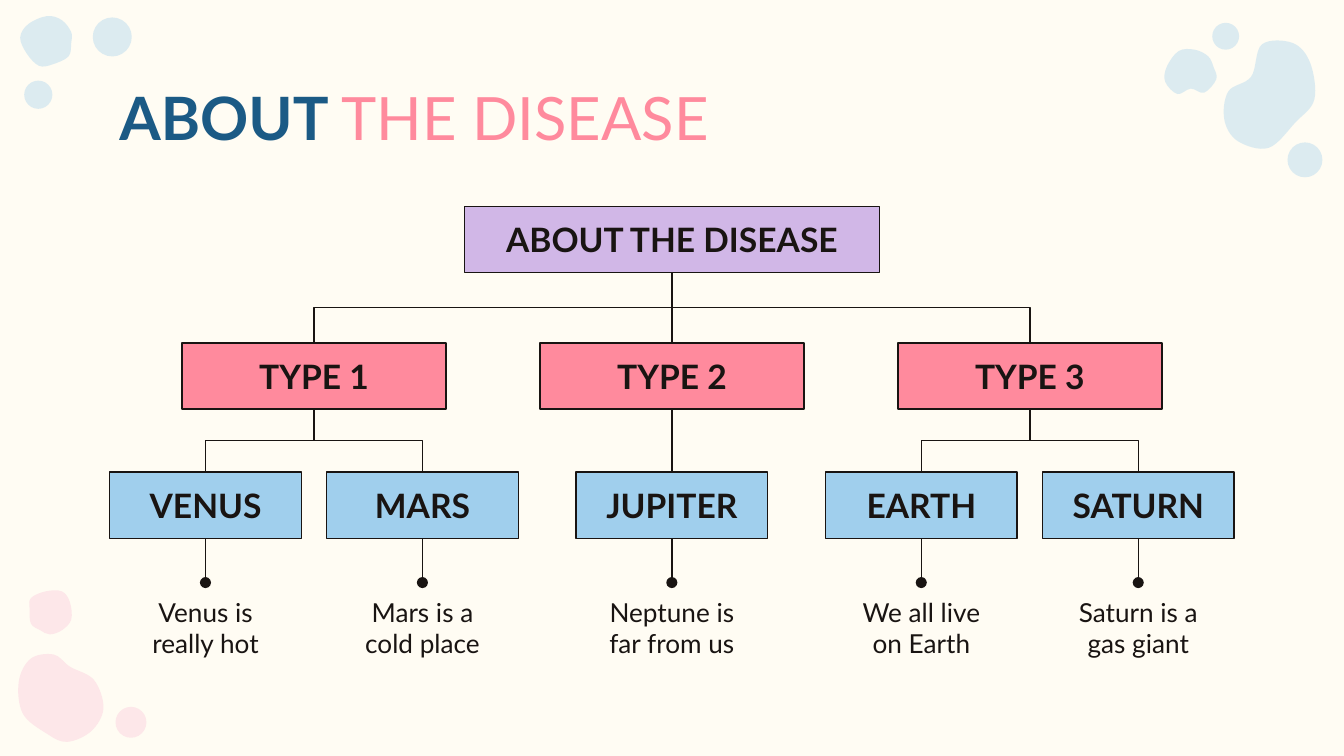
"""Build a slide with a three-level tree of disease types."""
from lxml.etree import SubElement
from pptx import Presentation
from pptx.dml.color import RGBColor
from pptx.enum.shapes import MSO_CONNECTOR as LINK, MSO_SHAPE as SHAPE
from pptx.enum.text import MSO_ANCHOR as ANCHOR, PP_ALIGN as ALIGN
from pptx.oxml.ns import qn
from pptx.util import Emu, Inches, Pt

CREAM = RGBColor(0xFF, 0xFC, 0xF3)
INK = RGBColor(0x19, 0x14, 0x12)
NAVY = RGBColor(0x1B, 0x5A, 0x85)
PINK = RGBColor(0xFF, 0x8A, 0x9D)
BLUSH = RGBColor(0xFD, 0xE7, 0xE9)
LILAC = RGBColor(0xD1, 0xB7, 0xE7)
SKY = RGBColor(0xA0, 0xCF, 0xED)

COLUMNS = 100
CELL = Inches(10) // COLUMNS
CENTRE = COLUMNS / 2
BOX_ROWS = 4.93
ROOT_ROW, TYPE_ROW, PLANET_ROW, FACT_ROW = 15.35, 25.52, 35.13, 43.35
ROOT_COLUMNS, TYPE_COLUMNS, PLANET_COLUMNS, FACT_COLUMNS = 30.85, 19.65, 14.25, 12.4
TYPE_STEP, PLANET_STEP = 26.63, 16.14

TREE = [
    ("TYPE 1", [("VENUS", "Venus is really hot"), ("MARS", "Mars is a cold place")]),
    ("TYPE 2", [("JUPITER", "Neptune is far from us")]),
    ("TYPE 3", [("EARTH", "We all live on Earth"), ("SATURN", "Saturn is a gas giant")]),
]

BLOBS = [
    (BLUSH, 100, [(3.5, 54.6), (5, 55.2), (6.8, 54.4), (7.7, 52.7), (7, 50.6), (5.2, 49.6),
                  (4, 48.7), (2.3, 49), (1.4, 50.7), (1.7, 53.1)]),
    (BLUSH, 100, [(5.3, 46.1), (5.2, 44.8), (4.6, 44), (3.4, 44), (2.3, 44.5), (2.2, 45.3),
                  (2.3, 46.4), (3, 46.9), (3.7, 47.2), (4.6, 46.9)]),
    (SKY, 36, [(97.8, 7.4), (97.5, 4.7), (96.2, 3.2), (93.9, 3.3), (93.1, 5.7), (91.4, 6.8),
               (91.1, 8.9), (92.1, 10.5), (94.4, 11), (96.4, 9.1)]),
    (SKY, 36, [(87.7, 3.8), (86.8, 5), (86.7, 6.1), (87.6, 7), (88.6, 6.6), (89.6, 6.9),
               (90.5, 5.9), (90.3, 5), (89.9, 4.2), (88.9, 3.7)]),
    (SKY, 36, [(3.5, 1.2), (2.1, 1.8), (1.5, 2.8), (2, 4), (2.9, 4.9), (3.9, 4.8),
               (5.1, 4.2), (5.3, 3.2), (5.3, 2.4), (4.6, 1.5)]),
]
DOTS = [
    (BLUSH, 100, 8.6, 52.6, 2.3),
    (SKY, 36, 95.8, 10.6, 2.6),
    (SKY, 36, 90.2, 1.7, 2),
    (SKY, 36, 6.9, 1.3, 2.9),
    (SKY, 36, 1.8, 6, 2.1),
]


def grid(*cells):
    """Turn grid cells into lengths."""
    return [Emu(round(cell * CELL)) for cell in cells]


def paint(shape, color, opacity=100):
    """Fill a shape without shadow or outline."""
    shape.shadow.inherit = False
    shape.line.fill.background()
    shape.fill.solid()
    shape.fill.fore_color.rgb = color
    if opacity < 100:
        tint = shape.element.spPr.find(qn("a:solidFill"))[0]
        SubElement(tint, qn("a:alpha"), val=str(opacity * 1000))


def round_corners(blob):
    """Turn a closed polygon into smooth curves through its corners."""
    outline = next(blob.element.iter(qn("a:path")))
    knots = [(int(pt.get("x")), int(pt.get("y"))) for pt in outline.iter(qn("a:pt"))]
    for step in list(outline)[1:]:
        outline.remove(step)
    for i, start in enumerate(knots):
        before = knots[i - 1]
        end, after = (knots[(i + k) % len(knots)] for k in (1, 2))
        leave = [b + (c - a) / 6 for a, b, c in zip(before, start, end)]
        arrive = [c - (d - b) / 6 for b, c, d in zip(start, end, after)]
        curve = SubElement(outline, qn("a:cubicBezTo"))
        for x, y in (leave, arrive, end):
            SubElement(curve, qn("a:pt"), x=str(round(x)), y=str(round(y)))
    SubElement(outline, qn("a:close"))


def add_blob(shapes, color, opacity, knots):
    """Draw a soft irregular blob."""
    first, *rest = [grid(*knot) for knot in knots]
    outline = shapes.build_freeform(*first)
    outline.add_line_segments(rest, close=False)
    blob = outline.convert_to_shape()
    round_corners(blob)
    paint(blob, color, opacity)


def add_dot(shapes, color, opacity, left, top, size):
    """Draw a round spot."""
    paint(shapes.add_shape(SHAPE.OVAL, *grid(left, top, size, size)), color, opacity)


def write(frame, runs, align=ALIGN.CENTER, anchor=ANCHOR.TOP):
    """Fill a text frame with (text, size, color, bold) runs."""
    inset = Inches(0.1)
    layout = {"word_wrap": True, "vertical_anchor": anchor, "margin_left": inset,
              "margin_right": inset, "margin_top": inset, "margin_bottom": inset}
    for name, value in layout.items():
        setattr(frame, name, value)
    paragraph = frame.paragraphs[0]
    paragraph.alignment = align
    for text, size, color, bold in runs:
        run = paragraph.add_run()
        run.text = text
        for name, value in {"name": "Lato", "size": Pt(size), "bold": bold}.items():
            setattr(run.font, name, value)
        run.font.color.rgb = color


def add_node(shapes, label, middle, top, width, color):
    """Draw a labelled box centred on a column."""
    box = shapes.add_shape(SHAPE.RECTANGLE, *grid(middle - width / 2, top, width, BOX_ROWS))
    paint(box, color)
    box.line.color.rgb = INK
    box.line.width = Pt(0.75)
    write(box.text_frame, [(label, 18, INK, True)], anchor=ANCHOR.MIDDLE)


def add_link(shapes, start, parent_row, end, bottom, dotted=False):
    """Join a box's lower edge to a point below, turning halfway down."""
    top = parent_row + BOX_ROWS
    side = 1 if end < start else -1
    x, y = (start + end) / 2, (top + bottom) / 2
    drop, reach = side * (bottom - top) / 2, abs(end - start) / 2
    link = shapes.add_connector(LINK.ELBOW, *grid(x - drop, y - reach, x + drop, y + reach))
    link.element.spPr.xfrm.set("rot", str(side * 90 % 360 * 60000))
    link.line.color.rgb = INK
    link.line.width = Pt(0.75)
    if dotted:
        SubElement(link.get_or_add_ln(), qn("a:tailEnd"), type="oval")
    SubElement(link.element.spPr, qn("a:effectLst"))


def add_planet(shapes, name, fact, middle, parent):
    """Draw a planet box with its links and its fact."""
    add_node(shapes, name, middle, PLANET_ROW, PLANET_COLUMNS, SKY)
    add_link(shapes, parent, TYPE_ROW, middle, PLANET_ROW)
    add_link(shapes, middle, PLANET_ROW, middle, FACT_ROW, dotted=True)
    note = shapes.add_textbox(*grid(middle - FACT_COLUMNS / 2, FACT_ROW, FACT_COLUMNS, 6.3))
    write(note.text_frame, [(fact, 14, INK, False)])


def add_tree(shapes):
    """Draw the whole tree from the root down."""
    add_node(shapes, "ABOUT THE DISEASE", CENTRE, ROOT_ROW, ROOT_COLUMNS, LILAC)
    for i, (kind, planets) in enumerate(TREE):
        middle = CENTRE + (i - (len(TREE) - 1) / 2) * TYPE_STEP
        add_node(shapes, kind, middle, TYPE_ROW, TYPE_COLUMNS, PINK)
        add_link(shapes, CENTRE, ROOT_ROW, middle, TYPE_ROW)
        for j, (name, fact) in enumerate(planets):
            offset = (j - (len(planets) - 1) / 2) * PLANET_STEP
            add_planet(shapes, name, fact, middle + offset, middle)


def main():
    """Compose and save the slide."""
    deck = Presentation()
    deck.slide_width, deck.slide_height = Inches(10), Inches(10) * 9 // 16
    slide = deck.slides.add_slide(deck.slide_layouts[6])
    slide.background.fill.solid()
    slide.background.fill.fore_color.rgb = CREAM
    for blob in BLOBS:
        add_blob(slide.shapes, *blob)
    for dot in DOTS:
        add_dot(slide.shapes, *dot)
    title = slide.shapes.add_textbox(*grid(7.9, 5, 84.3, 6.3))
    write(title.text_frame, [("ABOUT ", 32, NAVY, True), ("THE DISEASE", 32, PINK, False)],
          align=ALIGN.LEFT)
    add_tree(slide.shapes)
    deck.save("out.pptx")


if __name__ == "__main__":
    main()
